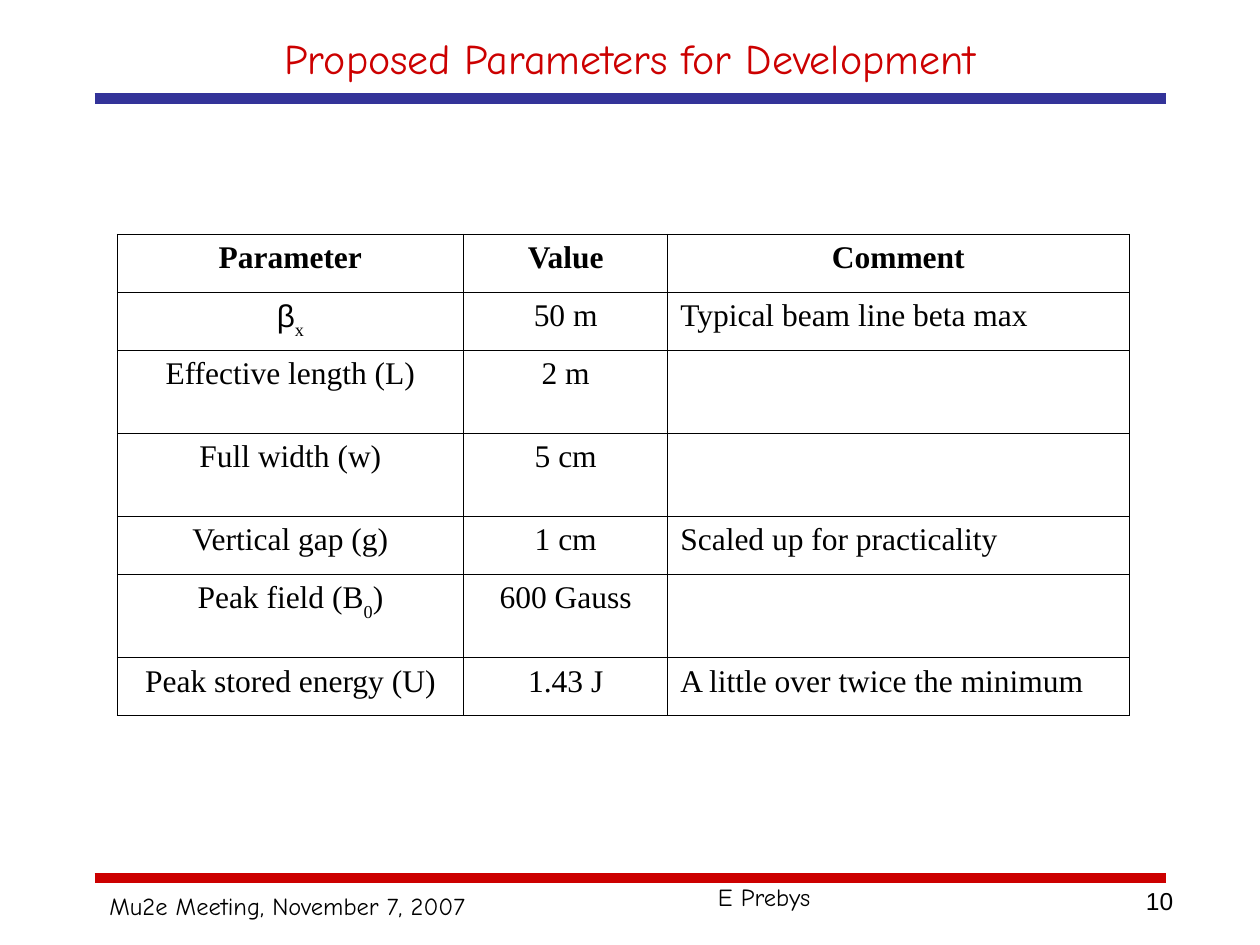
from dataclasses import dataclass
from lxml import etree
from pptx import Presentation
from pptx.dml.color import RGBColor
from pptx.enum.shapes import MSO_CONNECTOR
from pptx.enum.text import MSO_ANCHOR, MSO_AUTO_SIZE, PP_ALIGN
from pptx.oxml.ns import qn
from pptx.util import Inches, Pt

LEFT, MID, RIGHT, JUST = PP_ALIGN.LEFT, PP_ALIGN.CENTER, PP_ALIGN.RIGHT, PP_ALIGN.JUSTIFY
LINE = MSO_CONNECTOR.STRAIGHT


@dataclass(frozen=True)
class Theme:
    red: str = "CC0000"
    blue: str = "333399"
    ink: str = "000000"
    hand: str = "Comic Neue"
    serif: str = "Times New Roman"
    sans: str = "Arial"
    head: int = 24
    body: int = 18
    foot: int = 14
    rule: int = 6
    thin: float = 0.45
    thick: float = 0.96


T = Theme()

# Content: a cell is a list of (text, style) runs
TITLE = "Proposed Parameters for Development"
ROWS = [
    ([("Parameter", "bold")], [("Value", "bold")], [("Comment", "bold")]),
    ([("β", "sans"), ("x", "sub")], [("50 m", "")], [("Typical beam line beta max", "")]),
    ([("Effective length (L)", "")], [("2 m", "")], []),
    ([("Full width (w)", "")], [("5 cm", "")], []),
    ([("Vertical gap (g)", "")], [("1 cm", "")], [("Scaled up for practicality", "")]),
    ([("Peak field (B", ""), ("0", "sub"), (")", "")], [("600 Gauss", "")], []),
    ([("Peak stored energy (U)", "")], [("1.43 J", "")],
     [("A little over twice the minimum", "")]),
]
# Footer: text, left, top, width, height, font, alignment, wrap
FOOT = [
    ("Mu2e Meeting, November 7, 2007", 0.77, 7.02, 3.03, 0.34, T.hand, LEFT, False),
    ("E Prebys", 5.6, 6.95, 2.77, 0.34, T.hand, LEFT, True),
    ("10", 7.08, 6.98, 2.33, 0.52, T.sans, RIGHT, True),
]

# Layout in inches
WIDE, HIGH, EDGE = 10, 7.5, 0.75
RULES = [(6.97, T.red), (0.78, T.blue)]
GRID = (0.93, 1.86)
COLS = [2.75, 1.62, 3.66]
SHORT, TALL = 0.46, 0.66


def add_run(para, text, font, size, color=T.ink, bold=False):
    run = para.add_run()
    run.text = text
    run.font.name, run.font.size, run.font.bold = font, Pt(size), bold
    run.font.color.rgb = RGBColor.from_string(color)
    return run


def add_rule(slide, y, color):
    rule = slide.shapes.add_connector(
        LINE, Inches(EDGE), Inches(y), Inches(WIDE - EDGE), Inches(y))
    rule.line.color.rgb = RGBColor.from_string(color)
    rule.line.width = Pt(T.rule)
    etree.SubElement(rule._element.spPr, qn("a:effectLst"))


def add_edge(cell, side, width):
    edge = etree.SubElement(cell._tc.get_or_add_tcPr(), qn("a:" + side), w=str(Pt(width)))
    fill = etree.SubElement(edge, qn("a:solidFill"))
    etree.SubElement(fill, qn("a:srgbClr"), val=T.ink)


def fill_cell(cell, runs, row, col):
    para = cell.text_frame.paragraphs[0]
    para.alignment = JUST if row and col == 2 else MID
    para.font.size = Pt(T.body)
    for text, style in runs:
        font = T.sans if style == "sans" else T.serif
        run = add_run(para, text, font, T.body, bold=style == "bold")
        if style == "sub":
            run._r.get_or_add_rPr().set("baseline", "-30000")
    # The line under the header is heavier
    heavy = {0: "lnB", 1: "lnT"}.get(row)
    for side in ("lnL", "lnR", "lnT", "lnB"):
        add_edge(cell, side, T.thick if side == heavy else T.thin)
    cell.fill.background()


def add_grid(slide):
    highs = [SHORT if row[2] else TALL for row in ROWS]
    box = [Inches(v) for v in (*GRID, sum(COLS), sum(highs))]
    table = slide.shapes.add_table(len(ROWS), len(COLS), *box).table
    table.first_row = table.horz_banding = False
    for col, width in zip(table.columns, COLS):
        col.width = Inches(width)
    for r, (row, high) in enumerate(zip(ROWS, highs)):
        table.rows[r].height = Inches(high)
        for c, runs in enumerate(row):
            fill_cell(table.cell(r, c), runs, r, c)


def main():
    deck = Presentation()
    deck.slide_width, deck.slide_height = Inches(WIDE), Inches(HIGH)
    slide = deck.slides.add_slide(deck.slide_layouts[5])

    # Title
    title = slide.shapes.title
    title.left, title.top = Inches(EDGE), Inches(0.17)
    title.width, title.height = Inches(WIDE - 2 * EDGE), Inches(0.58)
    frame = title.text_frame
    frame.auto_size, frame.vertical_anchor = MSO_AUTO_SIZE.NONE, MSO_ANCHOR.MIDDLE
    frame.paragraphs[0].alignment = MID
    add_run(frame.paragraphs[0], TITLE, T.hand, T.head, T.red)

    # Rules and table
    for y, color in RULES:
        add_rule(slide, y, color)
    add_grid(slide)

    # Footer
    for text, x, y, w, h, font, side, wrap in FOOT:
        box = slide.shapes.add_textbox(Inches(x), Inches(y), Inches(w), Inches(h))
        box.text_frame.word_wrap = wrap
        para = box.text_frame.paragraphs[0]
        para.alignment = side
        add_run(para, text, font, T.foot)

    deck.save("out.pptx")


if __name__ == "__main__":
    main()
